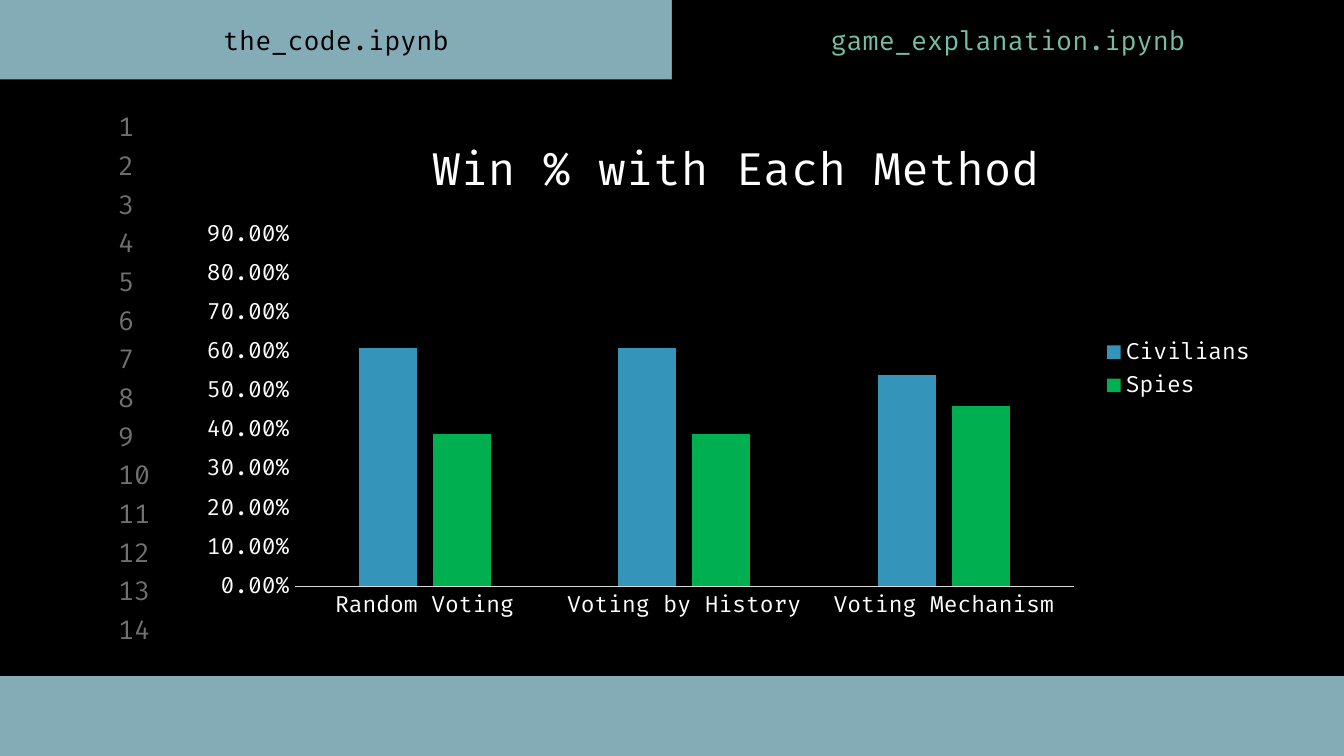
from dataclasses import dataclass

from lxml.etree import SubElement
from pptx import Presentation
from pptx.chart.chart import Chart
from pptx.chart.data import CategoryChartData
from pptx.dml.color import RGBColor
from pptx.enum.chart import XL_CHART_TYPE as ChartType
from pptx.enum.chart import XL_LEGEND_POSITION as LegendPosition
from pptx.enum.chart import XL_TICK_MARK as TickMark
from pptx.enum.shapes import MSO_SHAPE as Preset
from pptx.enum.text import MSO_ANCHOR as Anchor
from pptx.enum.text import PP_ALIGN as Align
from pptx.oxml import parse_xml
from pptx.oxml.ns import nsdecls, qn
from pptx.slide import Slide
from pptx.util import Pt

CODE_FONT = "Fira Code"
BLACK, WHITE, BAND, GRAY = "000000", "FFFFFF", "84ACB6", "707070"
SLIDE_W, SLIDE_H = 720, 405
HALF_W = SLIDE_W / 2
LINE_COUNT, LINE_TOP, LINE_PITCH = 14, 59, 20.72


@dataclass(frozen=True)
class Box:
    left: float
    top: float
    width: float
    height: float

    def lengths(self) -> tuple:
        return tuple(Pt(n) for n in (self.left, self.top, self.width, self.height))


@dataclass(frozen=True)
class Tab:
    label: str
    left: float
    color: str


@dataclass(frozen=True)
class Side:
    name: str
    win_rates: tuple
    color: str


METHODS = ("Random Voting", "Voting by History", "Voting Mechanism")
SIDES = (
    Side("Civilians", (0.61, 0.61, 0.54), "3494BA"),
    Side("Spies", (0.39, 0.39, 0.46), "00B050"),
)
TABS = (
    Tab("the_code.ipynb", 0, BLACK),
    Tab("game_explanation.ipynb", HALF_W, "75BDA7"),
)


def rgb(color: str) -> RGBColor:
    return RGBColor.from_string(color)


def style_font(font, size: float, color: str = WHITE, name: str = CODE_FONT) -> None:
    font.size, font.name, font.bold = Pt(size), name, False
    font.color.rgb = rgb(color)


def add_panel(slide: Slide, box: Box) -> None:
    panel = slide.shapes.add_shape(Preset.RECTANGLE, *box.lengths())
    panel.shadow.inherit = False
    panel.fill.solid()
    panel.fill.fore_color.rgb = rgb(BLACK)
    panel.line.fill.background()


def add_text(slide: Slide, text: str, box: Box, *, color: str,
             size: float = 14, align: Align = Align.LEFT) -> None:
    frame = slide.shapes.add_textbox(*box.lengths()).text_frame
    frame.word_wrap = True
    frame.vertical_anchor = Anchor.MIDDLE
    frame.margin_left = frame.margin_right = Pt(7.2)
    frame.margin_top = frame.margin_bottom = Pt(7.2)
    paragraph = frame.paragraphs[0]
    paragraph.alignment = align
    run = paragraph.add_run()
    run.text = text
    style_font(run.font, size, color)


def place(part, **fractions: float) -> None:
    """Pin a chart part at fractions of the chart area."""
    for automatic in part.findall(qn("c:layout")):
        part.remove(automatic)
    layout = parse_xml(f"<c:layout {nsdecls('c')}><c:manualLayout/></c:layout>")
    manual = layout[0]
    settings = {"xMode": "edge", "yMode": "edge", **fractions}
    if "w" in fractions:
        settings = {"layoutTarget": "inner", **settings}
    for tag, value in settings.items():
        SubElement(manual, qn(f"c:{tag}")).set("val", str(value))
    part.insert(0 if part.find(qn("c:tx")) is None else 1, layout)


def style_axes(chart: Chart) -> None:
    methods, rates = chart.category_axis, chart.value_axis
    for axis in (methods, rates):
        axis.major_tick_mark = axis.minor_tick_mark = TickMark.NONE
        axis.has_major_gridlines = False
        style_font(axis.tick_labels.font, 12)
    methods.format.line.color.rgb = rgb("D9D9D9")
    methods.format.line.width = Pt(0.75)
    rates.format.line.fill.background()
    rates.minimum_scale, rates.maximum_scale, rates.major_unit = 0, 0.99, 0.1
    rates.tick_labels.number_format = "0.00%"
    rates.tick_labels.number_format_is_linked = False


def add_win_chart(slide: Slide, box: Box) -> None:
    results = CategoryChartData(number_format="0.00%")
    results.categories = METHODS
    for side in SIDES:
        results.add_series(side.name, side.win_rates)
    chart = slide.shapes.add_chart(
        ChartType.COLUMN_CLUSTERED, *box.lengths(), results).chart
    style_font(chart.font, 10, BLACK, "Arial")
    no_fill = f"<c:spPr {nsdecls('c', 'a')}><a:noFill/><a:ln><a:noFill/></a:ln></c:spPr>"
    chart.element.find(qn("c:chart")).addnext(parse_xml(no_fill))

    chart.has_title = True
    heading = chart.chart_title.text_frame
    heading.text = "Win % with Each Method"
    style_font(heading.paragraphs[0].runs[0].font, 24)
    place(chart.element.find(".//" + qn("c:title")), x=0.22, y=0.05)

    chart.has_legend = True
    chart.legend.position = LegendPosition.RIGHT
    chart.legend.include_in_layout = False
    style_font(chart.legend.font, 12)

    columns = chart.plots[0]
    columns.gap_width, columns.overlap = 219, -27
    columns.vary_by_categories = False
    for side, series in zip(SIDES, columns.series):
        series.format.fill.solid()
        series.format.fill.fore_color.rgb = rgb(side.color)
    style_axes(chart)
    place(chart.element.find(".//" + qn("c:plotArea")), x=0.1, y=0.18, w=0.72, h=0.73)


def main() -> None:
    deck = Presentation()
    deck.slide_width, deck.slide_height = Pt(SLIDE_W), Pt(SLIDE_H)
    slide = deck.slides.add_slide(deck.slide_layouts[6])
    slide.background.fill.solid()
    slide.background.fill.fore_color.rgb = rgb(BAND)

    add_panel(slide, Box(0, 42.5, SLIDE_W, 319.7))
    add_panel(slide, Box(HALF_W, 0, HALF_W, 46.8))
    for index in range(LINE_COUNT):
        add_text(slide, str(index + 1),
                 Box(56.2, LINE_TOP + index * LINE_PITCH, 33.8, 17.3), color=GRAY)
    for tab in TABS:
        add_text(slide, tab.label, Box(tab.left, 7.2, HALF_W, 28.1),
                 color=tab.color, align=Align.CENTER)
    add_win_chart(slide, Box(100, 55.4, 579.6, 284.4))
    deck.save("out.pptx")


if __name__ == "__main__":
    main()
